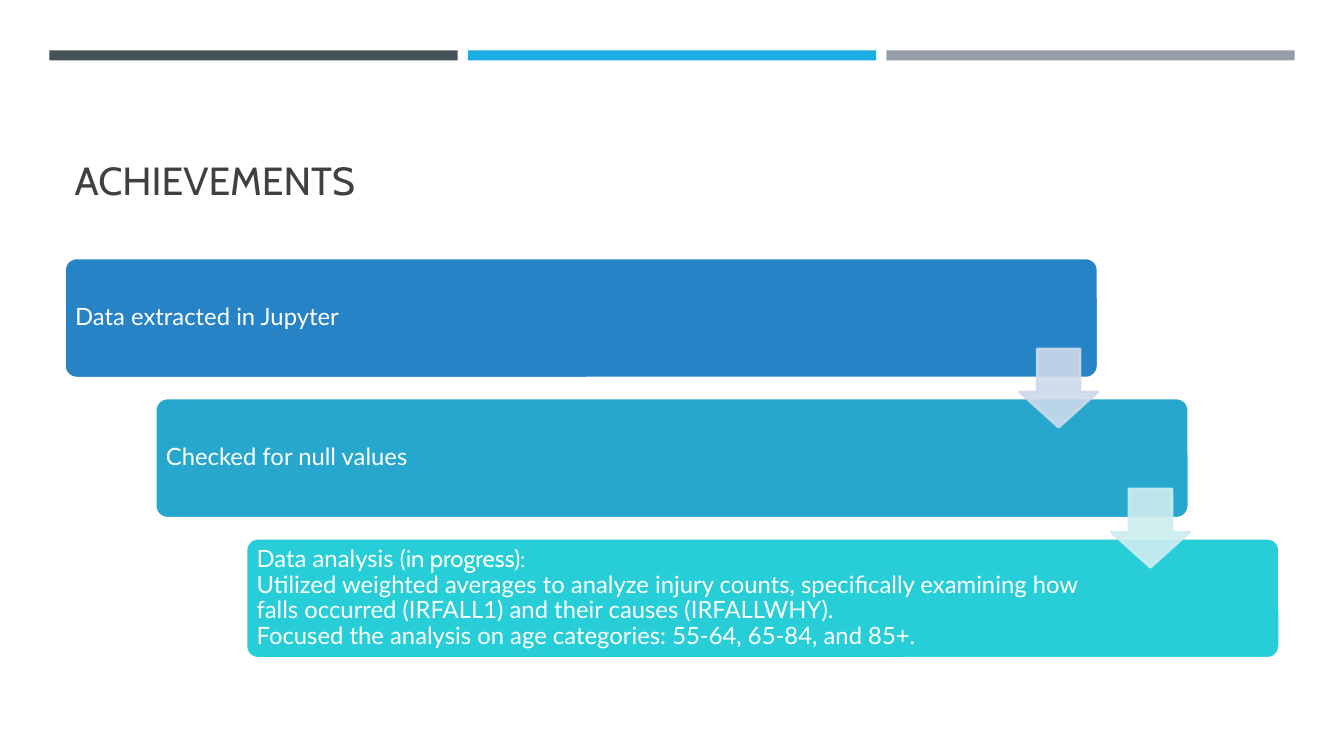
"""Build the Achievements slide: three cascading steps joined by down arrows."""
import lxml.etree
import pptx
import pptx.dml.color
import pptx.enum.shapes
import pptx.enum.text
import pptx.oxml.ns
import pptx.util

Inches = pptx.util.Inches
Pt = pptx.util.Pt
Shape = pptx.enum.shapes.MSO_SHAPE
Anchor = pptx.enum.text.MSO_ANCHOR
Align = pptx.enum.text.PP_ALIGN

THEME = {
    "heading_font": "Cabin", "body_font": "Lato",
    "title_size": 28, "body_size": 17, "outline": 1.75,
    "title": "404040", "white": "FFFFFF",
    "bars": ["465359", "1CADE4", "969FA7"],
    "steps": ["2683C6", "27A7CE", "27CED7"],
    "arrows": ["CDD9EA", "CDEDF0"],
}


def add_block(kind, left, top, width, height, color, outline=None, opacity=100):
    block = page.shapes.add_shape(
        kind, Inches(left), Inches(top), Inches(width), Inches(height))
    block.shadow.inherit = False
    block.fill.solid()
    block.fill.fore_color.rgb = pptx.dml.color.RGBColor.from_string(color)
    if outline:
        block.line.color.rgb = pptx.dml.color.RGBColor.from_string(outline)
        block.line.width = Pt(THEME["outline"])
    else:
        block.line.fill.background()
    if opacity < 100:
        for tone in block._element.spPr.iter(pptx.oxml.ns.qn("a:srgbClr")):
            alpha = lxml.etree.SubElement(tone, pptx.oxml.ns.qn("a:alpha"))
            alpha.set("val", str(opacity * 1000))
    return block


def add_span(para, text, font, size, color):
    span = para.add_run()
    span.text = text
    span.font.name = font
    span.font.size = Pt(size)
    span.font.color.rgb = pptx.dml.color.RGBColor.from_string(color)


deck = pptx.Presentation()
deck.slide_width = Inches(13.33)
deck.slide_height = Inches(7.5)
page = deck.slides.add_slide(deck.slide_layouts[5])

for index, color in enumerate(THEME["bars"]):
    add_block(Shape.RECTANGLE, 0.49 + 4.15 * index, 0.5, 4.05, 0.1, color)

title = page.shapes.title
title.left, title.top = Inches(0.64), Inches(0.77)
title.width, title.height = Inches(12.06), Inches(1.3)
title.text_frame.vertical_anchor = Anchor.BOTTOM
title_para = title.text_frame.paragraphs[0]
title_para.alignment = Align.LEFT
add_span(title_para, "ACHIEVEMENTS", THEME["heading_font"],
         THEME["title_size"], THEME["title"])

heading, body = THEME["heading_font"], THEME["body_font"]
steps = [
    [[("Data extracted in Jupyter", body)]],
    [[("Checked for null values", body)]],
    [
        [("Data analysis ", body), ("(in progress):", heading)],
        [("Utilized weighted averages to analyze injury counts, specifically "
          "examining how falls occurred (IRFALL1) and their causes "
          "(IRFALLWHY).", body)],
        [("Focused the analysis on age categories: 55-64, 65-84, and 85+.", body)],
    ],
]
for index, (lines, color) in enumerate(zip(steps, THEME["steps"])):
    step = add_block(Shape.ROUNDED_RECTANGLE, 0.64 + 0.9 * index,
                     2.56 + 1.39 * index, 10.25, 1.19, color, THEME["white"])
    step.adjustments[0] = 0.1
    frame = step.text_frame
    frame.word_wrap = True
    frame.vertical_anchor = Anchor.MIDDLE
    frame.margin_left = frame.margin_top = frame.margin_bottom = Inches(0.07)
    frame.margin_right = Inches(1.75)
    para = frame.paragraphs[0]
    para.alignment = Align.LEFT
    para.line_spacing = 0.9
    for number, line in enumerate(lines):
        if number:
            para.add_line_break()
        for text, font in line:
            add_span(para, text, font, THEME["body_size"], THEME["white"])

for index, color in enumerate(THEME["arrows"]):
    arrow = add_block(Shape.DOWN_ARROW, 10.11 + 0.91 * index, 3.46 + 1.39 * index,
                      0.78, 0.78, color, color, opacity=90)
    arrow.adjustments[0] = 0.55
    arrow.adjustments[1] = 0.45

deck.save("out.pptx")
